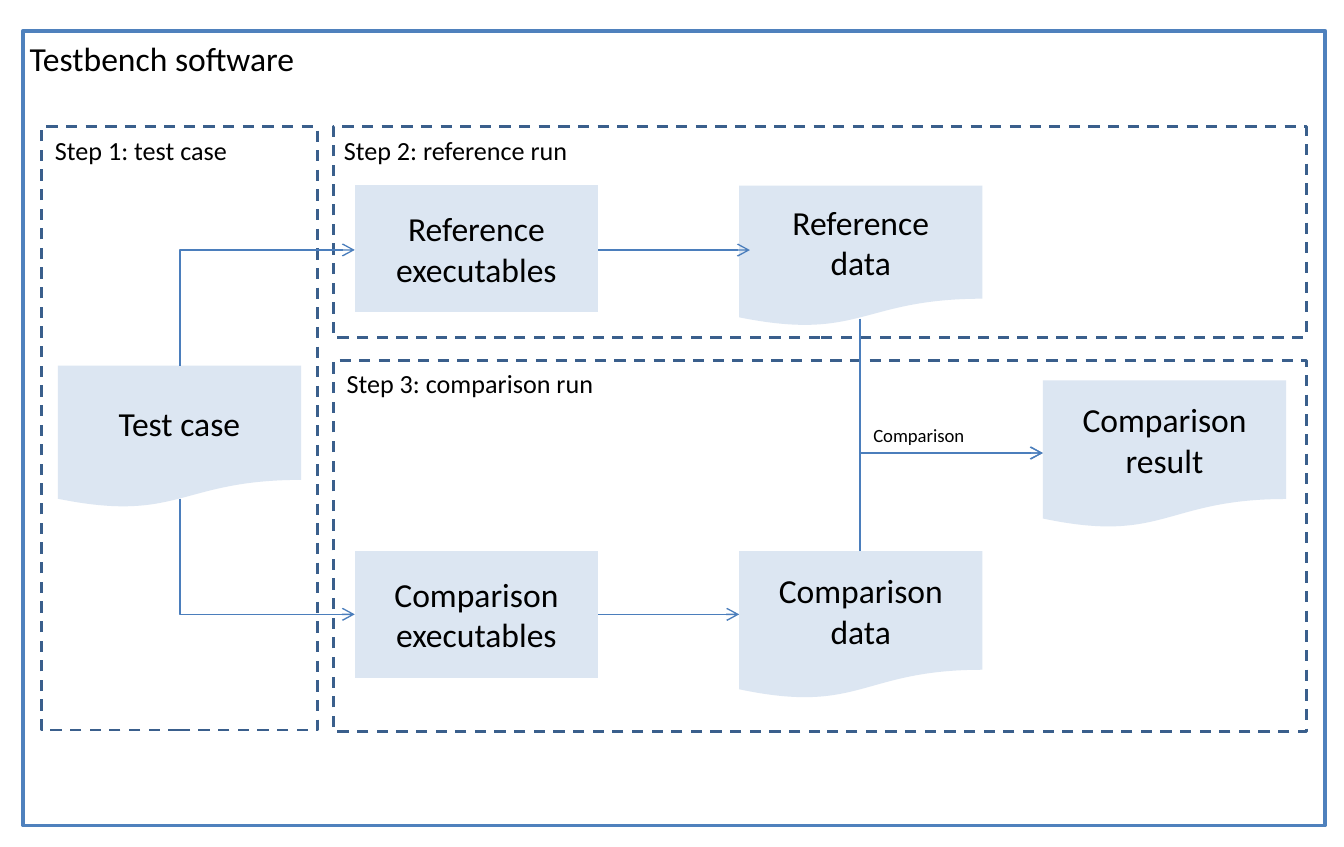
from lxml import etree
from pptx import Presentation
from pptx.dml.color import RGBColor
from pptx.enum import dml, shapes, text
from pptx.oxml import ns
from pptx.util import Inches, Pt

COLORS = {"paper": "FFFFFF", "frame": "4F81BD", "block": "DCE6F2",
          "step": "3A5F8C", "flow": "4B7EBC", "ink": "000000"}
FONT = "Calibri"
PROCESS = shapes.MSO_SHAPE.FLOWCHART_PROCESS
DOCUMENT = shapes.MSO_SHAPE.FLOWCHART_DOCUMENT
BLOCK_WIDTH = 1.81


def color(name):
    return RGBColor.from_string(COLORS[name])


def write(holder, words, size=18, align=text.PP_ALIGN.LEFT, anchor=text.MSO_ANCHOR.TOP):
    frame = holder.text_frame
    frame.text = words
    frame.word_wrap = True
    frame.auto_size = text.MSO_AUTO_SIZE.NONE
    frame.vertical_anchor = anchor
    for paragraph in frame.paragraphs:
        paragraph.alignment = align
        paragraph.font.name = FONT
        paragraph.font.size = Pt(size)
        paragraph.font.color.rgb = color("ink")


def add_box(slide, kind, box, fill=None, line=None, width=1.5, dashed=False):
    shape = slide.shapes.add_shape(kind, *map(Inches, box))
    shape.shadow.inherit = False
    if fill:
        shape.fill.solid()
        shape.fill.fore_color.rgb = color(fill)
    else:
        shape.fill.background()
    if line:
        shape.line.color.rgb = color(line)
        shape.line.width = Pt(width)
        if dashed:
            shape.line.dash_style = dml.MSO_LINE.DASH
    else:
        shape.line.fill.background()
    return shape


def add_block(slide, kind, words, left, top, height):
    block = add_box(slide, kind, (left, top, BLOCK_WIDTH, height), fill="block")
    write(block, words, align=text.PP_ALIGN.CENTER, anchor=text.MSO_ANCHOR.MIDDLE)


def add_label(slide, words, box, size):
    write(slide.shapes.add_textbox(*map(Inches, box)), words, size=size)


def add_arrow(slide, kind, x1, y1, x2, y2):
    arrow = slide.shapes.add_connector(kind, *map(Inches, (x1, y1, x2, y2)))
    arrow.line.color.rgb = color("flow")
    arrow.line.width = Pt(0.75)
    etree.SubElement(arrow.line._get_or_add_ln(), ns.qn("a:tailEnd"), type="arrow")
    etree.SubElement(arrow._element.spPr, ns.qn("a:effectLst"))
    return arrow


def add_straight(slide, x1, x2, y):
    add_arrow(slide, shapes.MSO_CONNECTOR.STRAIGHT, x1, y, x2, y)


def add_bend(slide, x1, y1, x2, y2):
    across, down = x2 - x1, abs(y2 - y1)
    left = (x1 + x2 - down) / 2
    top = (y1 + y2 - across) / 2
    bend = add_arrow(slide, shapes.MSO_CONNECTOR.ELBOW,
                     left, top, left + down, top + across)
    properties = bend._element.spPr
    properties.find(ns.qn("a:prstGeom")).set("prst", "bentConnector2")
    turn = properties.find(ns.qn("a:xfrm"))
    upward = y2 < y1
    turn.set("rot", str((90 if upward else 270) * 60000))
    turn.set("flipH", "1")
    if upward:
        turn.set("flipV", "1")


def add_title(slide, frame):
    title = slide.shapes.title
    title.left, title.top, title.width, title.height = map(Inches, (0.12, 0.23, 3.62, 0.4))
    write(title, "Testbench software")
    frame._element.addnext(title._element)


def main():
    deck = Presentation()
    deck.slide_width, deck.slide_height = Inches(10), Inches(6.3)
    slide = deck.slides.add_slide(deck.slide_layouts[5])

    frame = add_box(slide, shapes.MSO_SHAPE.RECTANGLE, (0.17, 0.23, 9.69, 5.91),
                    fill="paper", line="frame", width=2)
    add_title(slide, frame)

    for block in [
        (PROCESS, "Reference executables", 2.64, 1.38, 0.94),
        (DOCUMENT, "Test case", 0.43, 2.72, 1.06),
        (PROCESS, "Comparison\nexecutables", 2.64, 4.1, 0.94),
        (DOCUMENT, "Reference\ndata", 5.5, 1.38, 1.05),
        (DOCUMENT, "Comparison data", 5.5, 4.1, 1.1),
    ]:
        add_block(slide, *block)

    for step in [(0.31, 0.94, 2.05, 4.49), (2.48, 0.94, 7.24, 1.57), (2.48, 2.68, 7.24, 2.76)]:
        add_box(slide, shapes.MSO_SHAPE.RECTANGLE, step, line="step", dashed=True)
    for words, box in [
        ("Step 1: test case", (0.31, 0.95, 1.99, 0.34)),
        ("Step 2: reference run", (2.46, 0.95, 1.99, 0.34)),
        ("Step 3: comparison run", (2.48, 2.68, 2.28, 0.34)),
    ]:
        add_label(slide, words, box, size=14)

    add_bend(slide, 1.34, 2.72, 2.64, 1.86)
    add_straight(slide, 4.45, 5.58, 1.86)
    add_straight(slide, 4.45, 5.5, 4.57)
    add_bend(slide, 1.34, 3.71, 2.64, 4.57)

    add_block(slide, DOCUMENT, "Comparison result", 7.76, 2.83, 1.1)
    for data_edge in (2.37, 4.1):
        add_bend(slide, 6.4, data_edge, 7.76, 3.37)
    add_label(slide, "Comparison", (6.4, 3.1, 0.94, 0.27), size=10)

    deck.save("out.pptx")


if __name__ == "__main__":
    main()
